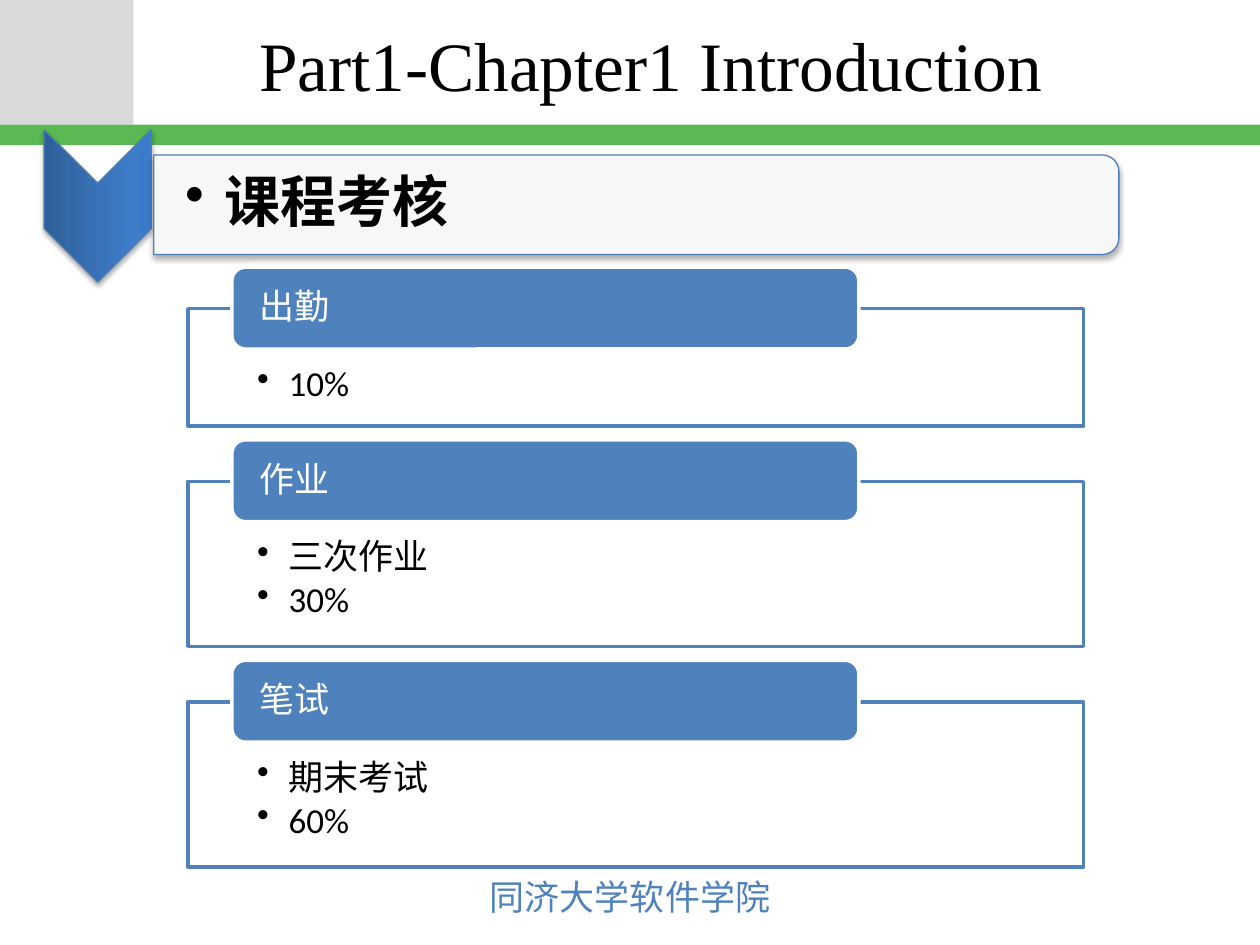
import pptx
import pptx.util
import pptx.dml.color
import pptx.enum.shapes
import pptx.enum.text
import pptx.oxml
import pptx.oxml.ns
from dataclasses import dataclass

Inches, Pt = pptx.util.Inches, pptx.util.Pt
Kind = pptx.enum.shapes.MSO_SHAPE
Align = pptx.enum.text.PP_ALIGN
Anchor = pptx.enum.text.MSO_ANCHOR
qn = pptx.oxml.ns.qn
NS = 'xmlns:a="http://schemas.openxmlformats.org/drawingml/2006/main"'


@dataclass(frozen=True)
class Theme:
    gray: str = "D9D9D9"
    green: str = "5AB953"
    blue: str = "4F81BD"
    edge: str = "4B7EBC"
    white: str = "FFFFFF"
    black: str = "000000"
    ramp: tuple = ((0, "2F5F99"), (80, "3D7CC7"), (100, "3A7CCB"))
    serif: str = "Times New Roman"
    sans: str = "Calibri"
    asian: str = "Noto Sans CJK JP"
    title: float = 39.6
    head: float = 32
    body: float = 20


T = Theme()


def rgb(code):
    return pptx.dml.color.RGBColor.from_string(code)


def xml(text):
    return pptx.oxml.parse_xml(text)


def apply(item, values):
    for name, value in values.items():
        setattr(item, name, value)


def shape(slide, kind, box, fill, line=None, width=0, alpha=None):
    item = slide.shapes.add_shape(kind, *map(Inches, box))
    item.shadow.inherit = False
    item.fill.solid()
    item.fill.fore_color.rgb = rgb(fill)
    if alpha:
        color = item._element.spPr.find(".//" + qn("a:srgbClr"))
        color.append(xml(f'<a:alpha {NS} val="{alpha * 1000}"/>'))
    if line:
        item.line.color.rgb = rgb(line)
        item.line.width = Pt(width)
    else:
        item.line.fill.background()
    return item


def turned(slide, kind, box, fill, alpha=None):
    """Add a shadowed shape that fills the box after a quarter turn."""
    x, y, w, h = box
    flat = (x + (w - h) / 2, y + (h - w) / 2, h, w)
    item = shape(slide, kind, flat, fill, T.edge, 0.75, alpha)
    item.rotation = 90
    item._element.spPr.find(qn("a:effectLst")).append(xml(
        f'<a:outerShdw {NS} blurRad="{Pt(3.1)}" dist="{Pt(1.8)}" dir="5400000"'
        f' rotWithShape="0"><a:srgbClr val="{T.black}">'
        '<a:alpha val="35000"/></a:srgbClr></a:outerShdw>'))
    return item


def write(item, lines, size, color, inset=(0, 0, 0, 0), font=T.sans, bold=None,
          align=Align.LEFT, anchor=Anchor.MIDDLE, wrap=True, indent=0,
          space=0.9, after=0):
    frame = item.text_frame
    sides = ("margin_left", "margin_top", "margin_right", "margin_bottom")
    apply(frame, dict(zip(sides, map(Inches, inset))))
    apply(frame, {"word_wrap": wrap, "vertical_anchor": anchor})
    for i, line in enumerate(lines):
        para = frame.paragraphs[0] if i == 0 else frame.add_paragraph()
        apply(para, {"alignment": align, "line_spacing": space,
                     "space_before": Pt(0), "space_after": Pt(after)})
        if indent:
            prop = para._p.get_or_add_pPr()
            prop.set("marL", str(Inches(indent)))
            prop.set("indent", str(-Inches(indent)))
            prop.append(xml(f'<a:buChar {NS} char="•"/>'))
        run = para.add_run()
        run.text = line
        apply(run.font, {"name": font, "size": Pt(size), "bold": bold})
        run.font.color.rgb = rgb(color)
        latin = run._r.rPr.find(qn("a:latin"))
        latin.addnext(xml(f'<a:ea {NS} typeface="{T.asian}"/>'))


def frame(slide, box):
    """Header block, green rule, title and footer."""
    x, y, w, h = box
    shape(slide, Kind.RECTANGLE, (x, y, 1.06, 0.99), T.gray)
    shape(slide, Kind.RECTANGLE, (x, y + 0.99, w, 0.16), T.green)
    title = slide.shapes.title
    place = dict(zip(("left", "top", "width", "height"),
                     map(Inches, (x + 1.74, y + 0.02, 6.85, 0.98))))
    apply(title, place)
    write(title, ["Part1-Chapter1 Introduction"], T.title, T.black,
          (0.1, 0.05, 0.1, 0.05), T.serif, align=Align.CENTER, space=1)
    foot = slide.shapes.add_textbox(
        *map(Inches, (x + (w - 2.45) / 2, y + h - 0.6, 2.45, 0.44)))
    write(foot, ["同济大学软件学院"], T.body, T.blue, (0.1, 0.05, 0.1, 0.05),
          T.asian, align=Align.CENTER, anchor=Anchor.TOP, wrap=False, space=1)


def banner(slide, box, text):
    """Chevron with a heading bar to its right."""
    x, y, w, h = box
    arrow = turned(slide, Kind.CHEVRON, (x, y, 0.85, h), T.edge)
    arrow.fill.gradient()
    arrow.fill.gradient_angle = 90
    stops = arrow._element.spPr.find(".//" + qn("a:gsLst"))
    for old in list(stops):
        stops.remove(old)
    for pos, color in T.ramp:
        stops.append(xml(f'<a:gs {NS} pos="{pos * 1000}">'
                         f'<a:srgbClr val="{color}"/></a:gs>'))
    bar = (x + 0.87, y + 0.2, w - 0.87, 0.79)
    turned(slide, Kind.ROUND_2_SAME_RECTANGLE, bar, T.white, 90)
    label = slide.shapes.add_textbox(
        *map(Inches, (bar[0], bar[1] + 0.04, bar[2] - 0.03, 0.71)))
    write(label, [text], T.head, T.black, (0.25, 0.02, 0.02, 0.02),
          bold=True, indent=0.31)


def card(slide, box, name, lines):
    """Outlined list with a tab across its top edge."""
    x, y, w, h = box
    body = shape(slide, Kind.RECTANGLE, box, T.white, T.blue, 2, 90)
    write(body, lines, T.body, T.black, (0.55, 0.46, 0.55, 0.16),
          anchor=Anchor.TOP, indent=0.25, after=3)
    tab = shape(slide, Kind.ROUNDED_RECTANGLE,
                (x + 0.35, y - 0.33, w * 0.7, 0.65), T.blue, T.white, 2)
    write(tab, [name], T.body, T.white, (0.19, 0, 0.19, 0))


def cards(slide, box, items, gap=0.44):
    """Stack of cards, each as tall as its list needs."""
    x, y, w = box
    for name, lines in items:
        h = 0.55 + 0.38 * len(lines)
        card(slide, (x, y, w, h), name, lines)
        y += h + gap


def main():
    deck = pptx.Presentation()
    apply(deck, {"slide_width": Inches(10), "slide_height": Inches(7.5)})
    slide = deck.slides.add_slide(deck.slide_layouts[5])
    frame(slide, (0, 0, 10, 7.5))
    banner(slide, (0.35, 1.03, 8.53, 1.21), "课程考核")
    cards(slide, (1.49, 2.45, 7.11), [
        ("出勤", ["10%"]),
        ("作业", ["三次作业", "30%"]),
        ("笔试", ["期末考试", "60%"]),
    ])
    deck.save("out.pptx")


if __name__ == "__main__":
    main()
